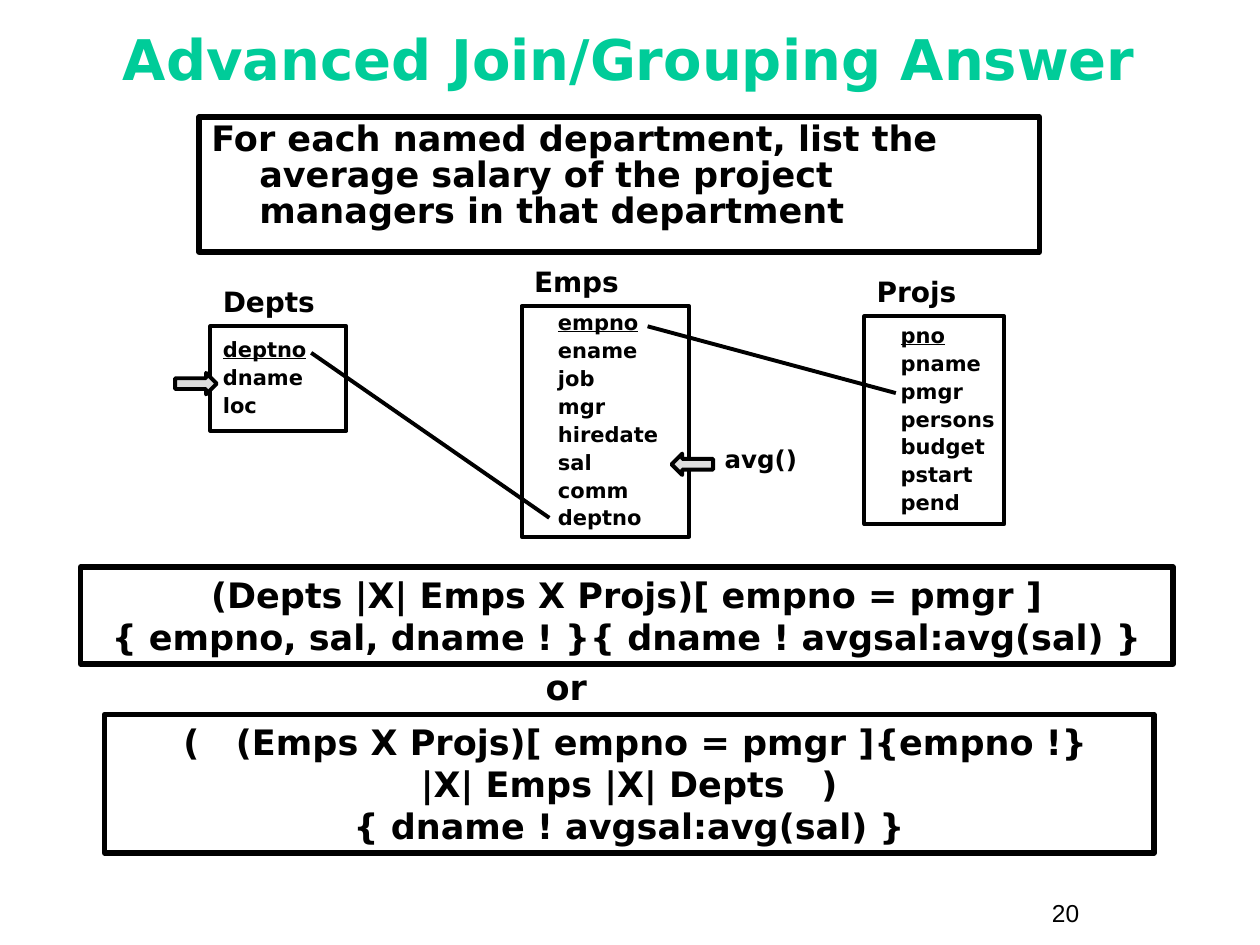
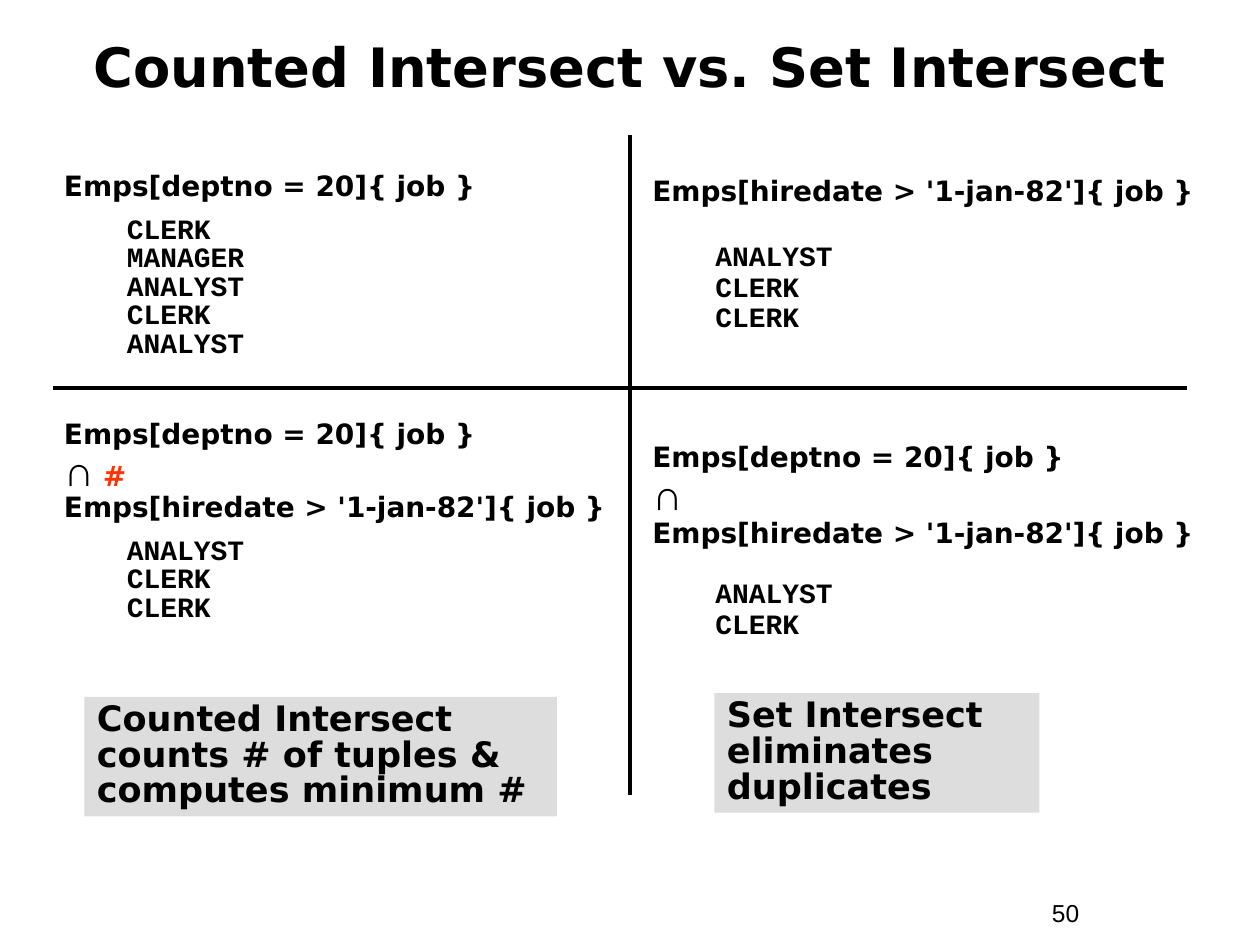
"""Build two slides on relational queries: a join with grouping, and two intersects."""
import pptx
import pptx.dml.color
import pptx.enum.shapes
import pptx.enum.text
import pptx.oxml.ns
import pptx.util
from lxml import etree

Inches = pptx.util.Inches
Pt = pptx.util.Pt
RGBColor = pptx.dml.color.RGBColor
Shape = pptx.enum.shapes.MSO_SHAPE
Align = pptx.enum.text.PP_ALIGN
Anchor = pptx.enum.text.MSO_ANCHOR

BLACK = RGBColor(0x00, 0x00, 0x00)
GREEN = RGBColor(0x00, 0xCC, 0x99)
RED = RGBColor(0xFF, 0x33, 0x00)
GREY = RGBColor(0xDD, 0xDD, 0xDD)

SANS = "DejaVu Sans"
MONO = "Courier New"
PLAIN = "Arial"

DEPT_QUERY = "Emps[deptno = 20]{ job }"
HIRE_QUERY = "Emps[hiredate > '1-jan-82']{ job }"


def add_span(para, text, size=16, font=SANS, color=BLACK, bold=True, underline=False):
    """Add one formatted run to a paragraph."""
    span = para.add_run()
    span.text = text
    span.font.size = Pt(size)
    span.font.name = font
    span.font.color.rgb = color
    span.font.bold = bold
    span.font.underline = underline


def add_para(frame, text="", align=Align.LEFT, spacing=1.0, before=0, indent=0,
             hanging=0, **style):
    """Add a paragraph, using the empty first one if it is still free."""
    first = frame.paragraphs[0]
    is_first = len(frame.paragraphs) == 1 and not first.runs
    para = first if is_first else frame.add_paragraph()
    para.alignment = align
    para.line_spacing = spacing
    para.space_before = Pt(0 if is_first else before)
    properties = para._p.get_or_add_pPr()
    properties.set("marL", str(Inches(indent)))
    properties.set("indent", str(Inches(-hanging)))
    if text:
        add_span(para, text, **style)
    return para


def add_text(page, text, left, top, width, height, **style):
    """Add a text box holding one formatted paragraph, or none if text is empty."""
    box = page.shapes.add_textbox(Inches(left), Inches(top), Inches(width), Inches(height))
    box.text_frame.word_wrap = True
    if text:
        add_para(box.text_frame, text, **style)
    return box.text_frame


def add_box(page, left, top, width, height, kind=Shape.RECTANGLE, fill=None, line=None):
    """Add a flat preset shape and return its text frame."""
    box = page.shapes.add_shape(kind, Inches(left), Inches(top), Inches(width), Inches(height))
    box.shadow.inherit = False
    if fill is None:
        box.fill.background()
    else:
        box.fill.solid()
        box.fill.fore_color.rgb = fill
    if line is None:
        box.line.fill.background()
    else:
        box.line.color.rgb = BLACK
        box.line.width = Pt(line)
    box.text_frame.word_wrap = True
    box.text_frame.vertical_anchor = Anchor.TOP
    return box.text_frame


def add_line(page, start, end):
    """Draw a straight black line between two points."""
    line = page.shapes.add_connector(
        pptx.enum.shapes.MSO_CONNECTOR.STRAIGHT, *map(Inches, start + end))
    line.line.color.rgb = BLACK
    line.line.width = Pt(2.25)
    etree.SubElement(line._element.spPr, pptx.oxml.ns.qn("a:effectLst"))


def add_page(deck, title, number, top, size, color):
    """Add a slide with its title and its page number."""
    page = deck.slides.add_slide(deck.slide_layouts[5])
    holder = page.shapes.title
    holder.left, holder.top = Inches(0.33), Inches(top)
    holder.width, holder.height = Inches(9.33), Inches(0.58)
    holder.text_frame.word_wrap = True
    holder.text_frame.vertical_anchor = Anchor.MIDDLE
    add_para(holder.text_frame, title, align=Align.CENTER, size=size, color=color)
    add_text(page, str(number), 8.25, 7.08, 0.92, 0.34, size=14, font=PLAIN, bold=False)
    return page


def add_relation(page, name, columns, left, top, width, height, indent=0.19):
    """Draw a relation: its name above a box of columns, the key underlined."""
    add_text(page, name, left, top - 0.35, 1.36, 0.34, spacing=0.9)
    frame = add_box(page, left, top, width, height, line=2.25)
    frame.vertical_anchor = Anchor.MIDDLE
    frame.margin_right = 0
    for column in columns.split():
        add_para(frame, column, spacing=0.9, before=3, indent=indent, size=12,
                 underline=column == columns.split()[0])


def add_formula(page, lines, left, top, width, height):
    """Add a framed, centred query."""
    frame = add_box(page, left, top, width, height, line=3)
    for line in lines:
        add_para(frame, line, align=Align.CENTER, size=20)


def add_query(frame, text, before=0):
    """Add a query line."""
    add_para(frame, text, spacing=0.85, before=before, indent=0.19, hanging=0.19)


def add_intersect(frame, before, counted=False):
    """Add the intersect sign, with a red # when tuples are counted."""
    para = add_para(frame, "∩", spacing=0.85, before=before, indent=0.19, hanging=0.19,
                    size=24, font=PLAIN)
    if counted:
        add_span(para, " ", size=14)
        add_span(para, "#", color=RED)


def add_jobs(frame, jobs, gap, before=0):
    """Add the resulting jobs below a query, after a gap."""
    for index, job in enumerate(jobs.split()):
        add_para(frame, job, spacing=0.85, before=before if index else gap,
                 indent=0.81, hanging=0.31, font=MONO)


def add_note(page, text, left, top, width):
    """Add a grey note."""
    frame = add_box(page, left, top, width, 0.95, fill=GREY)
    add_para(frame, text, spacing=0.85, size=20)


def build_join_page(deck):
    """Build the slide on the join with grouping."""
    page = add_page(deck, "Advanced Join/Grouping Answer", 20, 0.17, 32, GREEN)
    question = add_box(page, 1.58, 0.93, 6.67, 1.07, line=3)
    add_para(question, "For each named department, list the average salary of the project "
             "managers in that department", spacing=0.85, indent=0.38, hanging=0.38, size=20)

    add_relation(page, "Depts", "deptno dname loc", 1.67, 2.59, 1.08, 0.83, indent=0)
    add_relation(page, "Emps", "empno ename job mgr hiredate sal comm deptno",
                 4.14, 2.43, 1.33, 1.83)
    add_relation(page, "Projs", "pno pname pmgr persons budget pstart pend",
                 6.86, 2.51, 1.11, 1.65)
    add_line(page, (5.14, 2.59), (7.11, 3.12))
    add_line(page, (2.47, 2.8), (4.36, 4.11))
    add_box(page, 1.39, 2.96, 0.33, 0.17, Shape.RIGHT_ARROW, fill=GREY, line=2.25)
    add_box(page, 5.33, 3.6, 0.33, 0.17, Shape.LEFT_ARROW, fill=GREY, line=2.25)
    add_text(page, "avg()", 5.56, 3.51, 0.96, 0.3, align=Align.CENTER, spacing=0.85, size=14)

    add_formula(page, ["(Depts |X| Emps X Projs)[ empno = pmgr ]",
                       "{ empno, sal, dname ! }{ dname ! avgsal:avg(sal) }"],
                0.64, 4.5, 8.67, 0.77)
    add_text(page, "or", 3.33, 5.28, 2.33, 0.39, align=Align.CENTER, spacing=0.85, size=20)
    add_formula(page, [" (   (Emps X Projs)[ empno = pmgr ]{empno !}",
                       "|X| Emps |X| Depts   )",
                       "{ dname ! avgsal:avg(sal) }"],
                0.83, 5.67, 8.33, 1.1)


def build_intersect_page(deck):
    """Build the slide comparing the two intersects."""
    page = add_page(deck, "Counted Intersect vs. Set Intersect", 50, 0.23, 31, BLACK)

    counted = add_text(page, "", 0.41, 1.33, 4.67, 4.17)
    add_query(counted, DEPT_QUERY)
    add_jobs(counted, "CLERK MANAGER ANALYST CLERK ANALYST", gap=8)
    add_query(counted, DEPT_QUERY, before=36)
    add_intersect(counted, before=1, counted=True)
    add_query(counted, HIRE_QUERY)
    add_jobs(counted, "ANALYST CLERK CLERK", gap=8)

    distinct = add_text(page, "", 5.08, 1.37, 4.75, 5.25)
    add_query(distinct, HIRE_QUERY)
    add_jobs(distinct, "ANALYST CLERK CLERK", gap=21, before=1)
    add_query(distinct, DEPT_QUERY, before=64)
    add_intersect(distinct, before=1.5)
    add_query(distinct, HIRE_QUERY, before=1)
    add_jobs(distinct, "ANALYST CLERK", gap=18, before=1)

    add_line(page, (0.42, 3.08), (9.42, 3.08))
    add_line(page, (5, 1.07), (5, 6.31))
    add_note(page, "Set Intersect eliminates duplicates", 5.67, 5.5, 2.58)
    add_note(page, "Counted Intersect counts # of tuples & computes minimum #", 0.67, 5.53, 3.75)


def main():
    """Build and save the deck."""
    deck = pptx.Presentation()
    deck.slide_width, deck.slide_height = Inches(10), Inches(7.5)
    build_join_page(deck)
    build_intersect_page(deck)
    deck.save("out.pptx")


if __name__ == "__main__":
    main()
